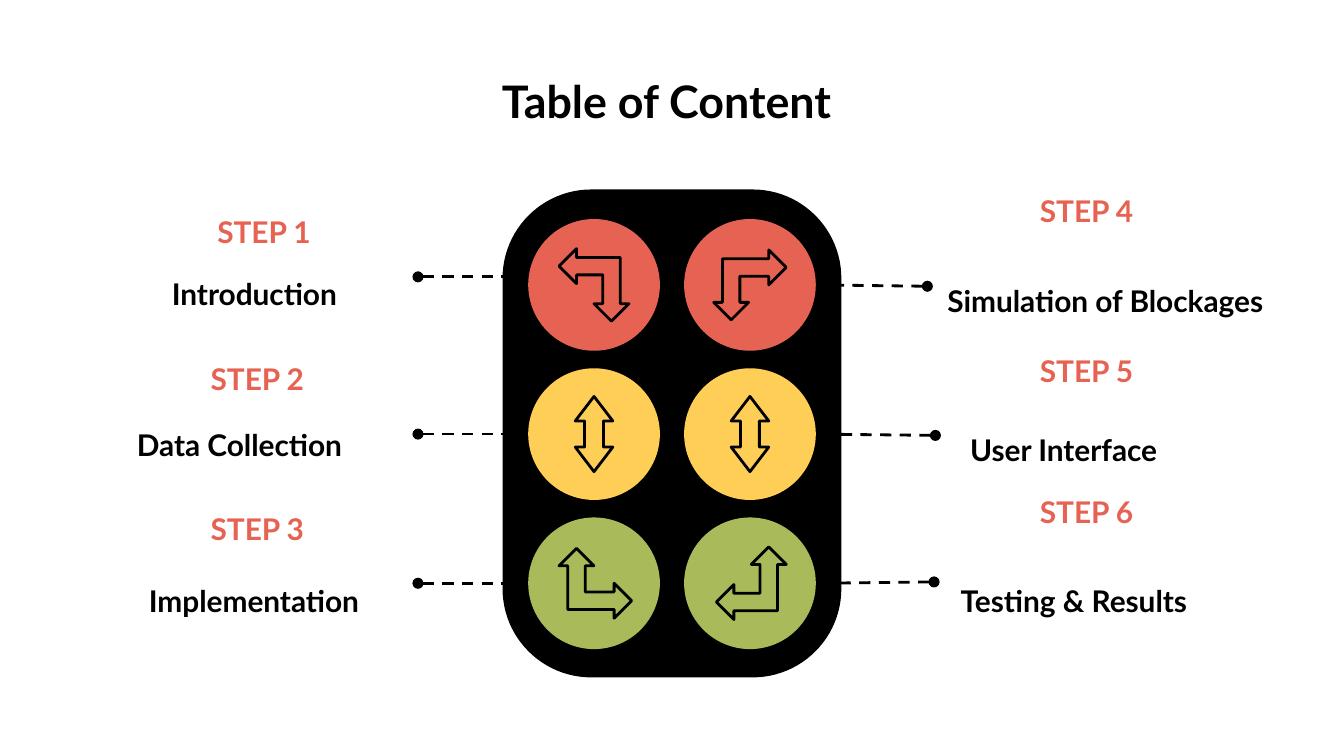
from lxml.etree import SubElement
from pptx import Presentation
from pptx.dml.color import RGBColor
from pptx.enum.dml import MSO_LINE
from pptx.enum.shapes import MSO_CONNECTOR, MSO_SHAPE
from pptx.enum.text import MSO_ANCHOR, PP_ALIGN
from pptx.oxml.ns import qn
from pptx.util import Inches, Pt

BLACK, RED, YELLOW, GREEN = "000000", "E66353", "FFCE56", "A9BA5A"
ROW_COLORS = [RED, YELLOW, GREEN]
COLUMN_LEFTS = [3.93, 5.09]
ROW_TOP, ROW_PITCH, LIGHT_SIZE = 1.63, 1.11, 0.98

STEPS = [
    ("STEP 1", (1, 1.57), "Introduction", (1.18, 1.8, 1.82), 0),
    ("STEP 2", (0.95, 2.67), "Data Collection", (0.92, 2.92, 2.08), 0),
    ("STEP 3", (0.95, 3.78), "Implementation", (0.13, 4.08, 3.26), 0.88),
    ("STEP 4", (7.12, 1.42), "Simulation of Blockages", (6.95, 1.85, 3.05), 0),
    ("STEP 5", (7.12, 2.61), "User Interface", (7.12, 2.96, 2.5), 0),
    ("STEP 6", (7.12, 3.66), "Testing & Results", (7.05, 4.08, 2.5), 0),
]
TURN_ARROWS = [
    {"place": (4.15, 1.86), "rotation": 270, "mirrored": False},
    {"place": (5.31, 1.86), "rotation": 180, "mirrored": False},
    {"place": (4.16, 4.08), "rotation": 0, "mirrored": True},
    {"place": (5.32, 4.08), "rotation": 270, "mirrored": True},
]
LEADERS = [
    (3.11, 2.06, 3.93, 2.06),
    (3.11, 3.23, 3.93, 3.23),
    (3.11, 4.34, 3.93, 4.34),
    (6.9, 2.13, 6.07, 2.12),
    (6.96, 3.24, 6.07, 3.23),
    (6.95, 4.33, 6.07, 4.34),
]


def color(value):
    return RGBColor.from_string(value)


def add_figure(page, kind, place, fill=None, outlined=False):
    figure = page.shapes.add_shape(kind, *map(Inches, place))
    figure.shadow.inherit = False
    if fill:
        figure.fill.solid()
        figure.fill.fore_color.rgb = color(fill)
    else:
        figure.fill.background()
    if outlined:
        figure.line.color.rgb = color(BLACK)
        figure.line.width = Pt(1.5)
    else:
        figure.line.fill.background()
    return figure


def add_text(page, text, place, size=16, ink=BLACK, anchor=MSO_ANCHOR.MIDDLE, indent=0, **layout):
    box = page.shapes.add_textbox(*map(Inches, place))
    frame = box.text_frame
    frame_format = {"word_wrap": True, "vertical_anchor": anchor}
    for side in ("left", "top", "right", "bottom"):
        frame_format["margin_" + side] = Inches(0.1)
    para = frame.paragraphs[0]
    span = para.add_run()
    span.text = text
    span_format = {"name": "Lato", "size": Pt(size), "bold": True}
    for target, values in ((frame, frame_format), (para, layout), (span.font, span_format)):
        for name, value in values.items():
            setattr(target, name, value)
    span.font.color.rgb = color(ink)
    if indent:
        para._p.get_or_add_pPr().set("marL", str(Inches(indent)))


def add_leader(page, ends):
    leader = page.shapes.add_connector(MSO_CONNECTOR.STRAIGHT, *map(Inches, ends))
    leader.line.color.rgb = color(BLACK)
    leader.line.width = Pt(1.5)
    leader.line.dash_style = MSO_LINE.DASH
    SubElement(leader.line._get_or_add_ln(), qn("a:headEnd"), type="oval")
    SubElement(leader._element.spPr, qn("a:effectLst"))


def main():
    deck = Presentation()
    deck.slide_width = Inches(10)
    deck.slide_height = deck.slide_width * 9 // 16
    page = deck.slides.add_slide(deck.slide_layouts[6])

    panel = add_figure(page, MSO_SHAPE.ROUNDED_RECTANGLE, (3.75, 1.42, 2.5, 3.61), BLACK, True)
    panel.adjustments[0] = 0.26

    for row, fill in enumerate(ROW_COLORS):
        for left in COLUMN_LEFTS:
            place = (left, ROW_TOP + row * ROW_PITCH, LIGHT_SIZE, LIGHT_SIZE)
            add_figure(page, MSO_SHAPE.OVAL, place, fill)

    for turn in TURN_ARROWS:
        place = (*turn["place"], 0.54, 0.52)
        arrow = add_figure(page, MSO_SHAPE.LEFT_UP_ARROW, place, outlined=True)
        arrow.rotation = turn["rotation"]
        if turn["mirrored"]:
            arrow._element.spPr.get_or_add_xfrm().set("flipH", "1")

    for left in COLUMN_LEFTS:
        place = (left + 0.35, 2.95, 0.28, 0.56)
        arrow = add_figure(page, MSO_SHAPE.UP_DOWN_ARROW, place, outlined=True)
        arrow.adjustments[0], arrow.adjustments[1] = 0.5, 0.65
        for guide, value in zip(arrow._element.spPr.prstGeom.avLst, (50000, 65400)):
            guide.set("fmla", f"val {value}")
        for number, guide in enumerate(arrow._element.spPr.prstGeom.avLst, 1):
            guide.set("name", f"adj{number}")

    add_text(page, "Table of Content ", (0.5, 0.45, 9, 0.44), 24,
             anchor=MSO_ANCHOR.TOP, alignment=PP_ALIGN.CENTER)
    for heading, corner, label, label_place, indent in STEPS:
        add_text(page, heading, (*corner, 1.93, 0.3), ink=RED, alignment=PP_ALIGN.CENTER)
        add_text(page, label, (*label_place, 0.64), indent=indent, line_spacing=1.5)

    for ends in LEADERS:
        add_leader(page, ends)

    deck.save("out.pptx")


if __name__ == "__main__":
    main()
